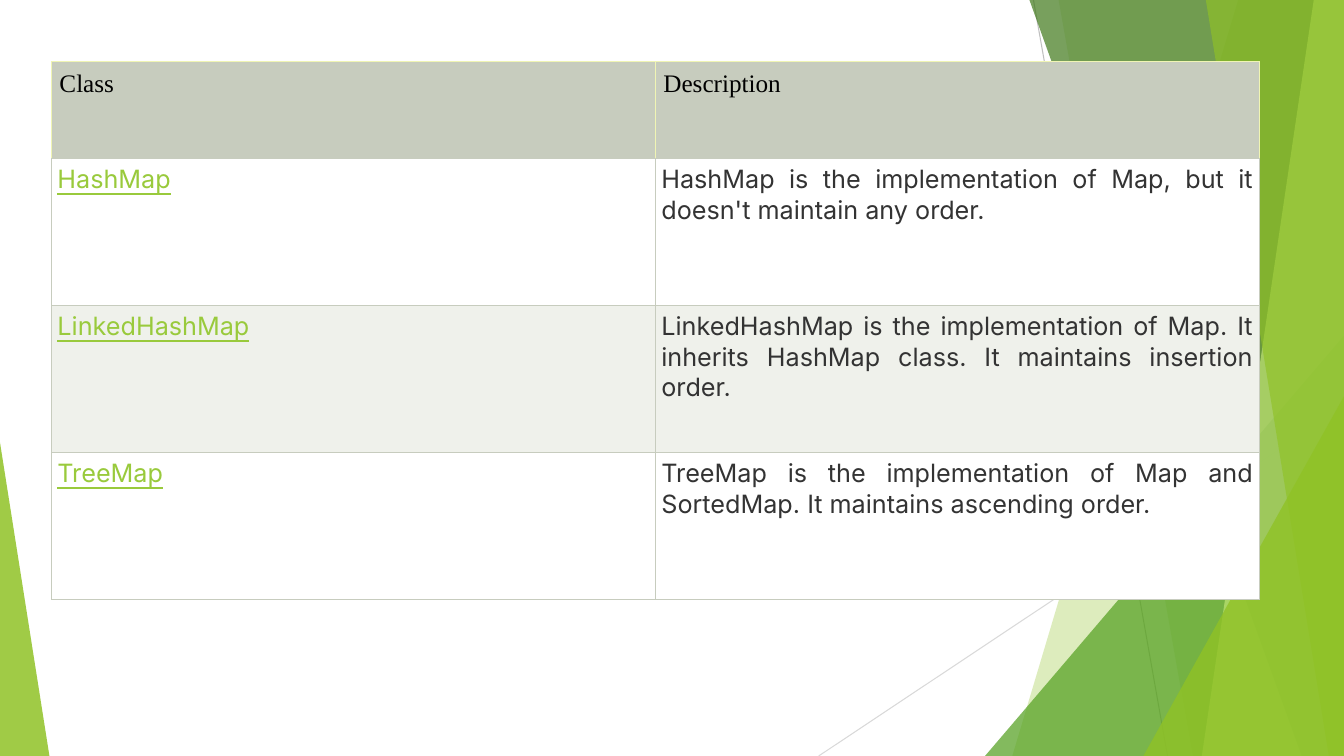
import pptx
import pptx.util
import pptx.dml.color
import pptx.enum.shapes
import pptx.enum.text
import pptx.oxml
import pptx.oxml.ns
from pptx.util import Inches

WIDTH, HEIGHT = 13.33, 7.5
GRID, HEADER_EDGE = "C7CCBE", "F0F5B4"
ROWS = [
    ("HashMap", "HashMap is the implementation of Map, but it doesn't maintain any order."),
    ("LinkedHashMap", "LinkedHashMap is the implementation of Map. It inherits HashMap class. "
                      "It maintains insertion order."),
    ("TreeMap", "TreeMap is the implementation of Map and SortedMap. It maintains ascending order."),
]


def color(value):
    """Return the RGB colour of a hex string."""
    return pptx.dml.color.RGBColor.from_string(value)


def add_child(parent, tag, **attributes):
    """Append an XML element with attributes to a parent element."""
    child = parent.makeelement(pptx.oxml.ns.qn(tag), attributes)
    parent.append(child)
    return child


def add_line(slide, start, end, line_color):
    """Draw a thin line without shadow."""
    line = slide.shapes.add_connector(
        pptx.enum.shapes.MSO_CONNECTOR.STRAIGHT, *(Inches(value) for value in start + end))
    line.line.color.rgb = color(line_color)
    line.line.width = pptx.util.Pt(0.75)
    add_child(line._element.spPr, "a:effectLst")


def paint(shape, fill_color, opacity):
    """Give a shape a translucent fill and no outline or shadow."""
    shape.shadow.inherit = False
    shape.line.fill.background()
    shape.fill.solid()
    shape.fill.fore_color.rgb = color(fill_color)
    color_element = shape._element.spPr.find(".//" + pptx.oxml.ns.qn("a:srgbClr"))
    add_child(color_element, "a:alpha", val=str(opacity * 1000))


def add_band(slide, top_left, bottom_left, fill_color, opacity):
    """Draw a slanted band that reaches the right edge of the slide."""
    corners = [(WIDTH, 0), (WIDTH, HEIGHT), (bottom_left, HEIGHT)]
    builder = slide.shapes.build_freeform(Inches(top_left), 0)
    builder.add_line_segments([(Inches(x), Inches(y)) for x, y in corners], close=True)
    paint(builder.convert_to_shape(), fill_color, opacity)


def add_triangle(slide, left, top, width, apex, fill_color, opacity):
    """Draw a triangle that stands on the bottom edge of the slide."""
    triangle = slide.shapes.add_shape(
        pptx.enum.shapes.MSO_SHAPE.ISOSCELES_TRIANGLE,
        Inches(left), Inches(top), Inches(width), Inches(HEIGHT - top))
    triangle.adjustments[0] = apex
    paint(triangle, fill_color, opacity)


def set_borders(cell, left, right, top, bottom):
    """Give a cell half-point borders in the named colours."""
    properties = cell._tc.get_or_add_tcPr()
    for side, value in zip("LRTB", (left, right, top, bottom)):
        border = add_child(properties, f"a:ln{side}", w=str(pptx.util.Pt(0.5)))
        add_child(add_child(border, "a:solidFill"), "a:srgbClr", val=value)


def fill_cell(cell, text, font_name, text_color, fill_color, margin):
    """Write the text of a cell and set its fill and margins."""
    cell.fill.solid()
    cell.fill.fore_color.rgb = color(fill_color)
    cell.margin_left = cell.margin_right = Inches(margin)
    cell.margin_top = cell.margin_bottom = Inches(margin)
    paragraph = cell.text_frame.paragraphs[0]
    run = paragraph.add_run()
    run.text = text
    run.font.name = font_name
    run.font.size = pptx.util.Pt(18)
    run.font.bold = False
    run.font.color.rgb = color(text_color)
    return paragraph


def add_class_table(slide):
    """Add the table of map classes and their descriptions."""
    table = slide.shapes.add_table(
        len(ROWS) + 1, 2, Inches(0.51), Inches(0.61), Inches(11.98), Inches(5.34)).table
    for column in table.columns:
        column.width = Inches(5.99)
    for index, row in enumerate(table.rows):
        row.height = Inches(1.46 if index else 0.96)
    for cell, heading in zip(table.rows[0].cells, ("Class", "Description")):
        set_borders(cell, HEADER_EDGE, HEADER_EDGE, HEADER_EDGE, GRID)
        fill_cell(cell, heading, "Times New Roman", "000000", GRID, 0.08)
    for index, texts in enumerate(ROWS, 1):
        fill_color = "FFFFFF" if index % 2 else "EFF1EB"
        for column, text in enumerate(texts):
            cell = table.cell(index, column)
            set_borders(cell, GRID, GRID, GRID, GRID)
            text_color = "333333" if column else "99CA3C"
            paragraph = fill_cell(cell, text, "Inter", text_color, fill_color, 0.06)
            paragraph.alignment = pptx.enum.text.PP_ALIGN.JUSTIFY
            paragraph.runs[0].font.underline = column == 0


def add_backdrop(slide):
    """Draw the green facets along the edges of the slide."""
    add_line(slide, (10.25, 0), (11.58, HEIGHT), "BFBFBF")
    add_line(slide, (WIDTH, 4.03), (8.12, HEIGHT), "D9D9D9")
    add_band(slide, 12.28, 10.04, "90C226", 30)
    add_band(slide, 10.5, 11.83, "90C226", 20)
    add_triangle(slide, 9.77, 3.33, 3.56, 1, "54A021", 72)
    add_band(slide, 10.21, 12.91, "3F7819", 70)
    add_band(slide, 13.03, 11.92, "C0E474", 70)
    add_band(slide, 11.96, 13.18, "90C226", 65)
    add_triangle(slide, 11.34, 3.93, 1.99, 1, "90C226", 80)
    add_triangle(slide, 0, 4.39, 0.49, 0, "90C226", 85)


def main():
    """Build the slide and save it."""
    presentation = pptx.Presentation()
    presentation.slide_width = Inches(WIDTH)
    presentation.slide_height = Inches(HEIGHT)
    slide = presentation.slides.add_slide(presentation.slide_layouts[6])
    add_backdrop(slide)
    add_class_table(slide)
    presentation.save("out.pptx")


if __name__ == "__main__":
    main()
